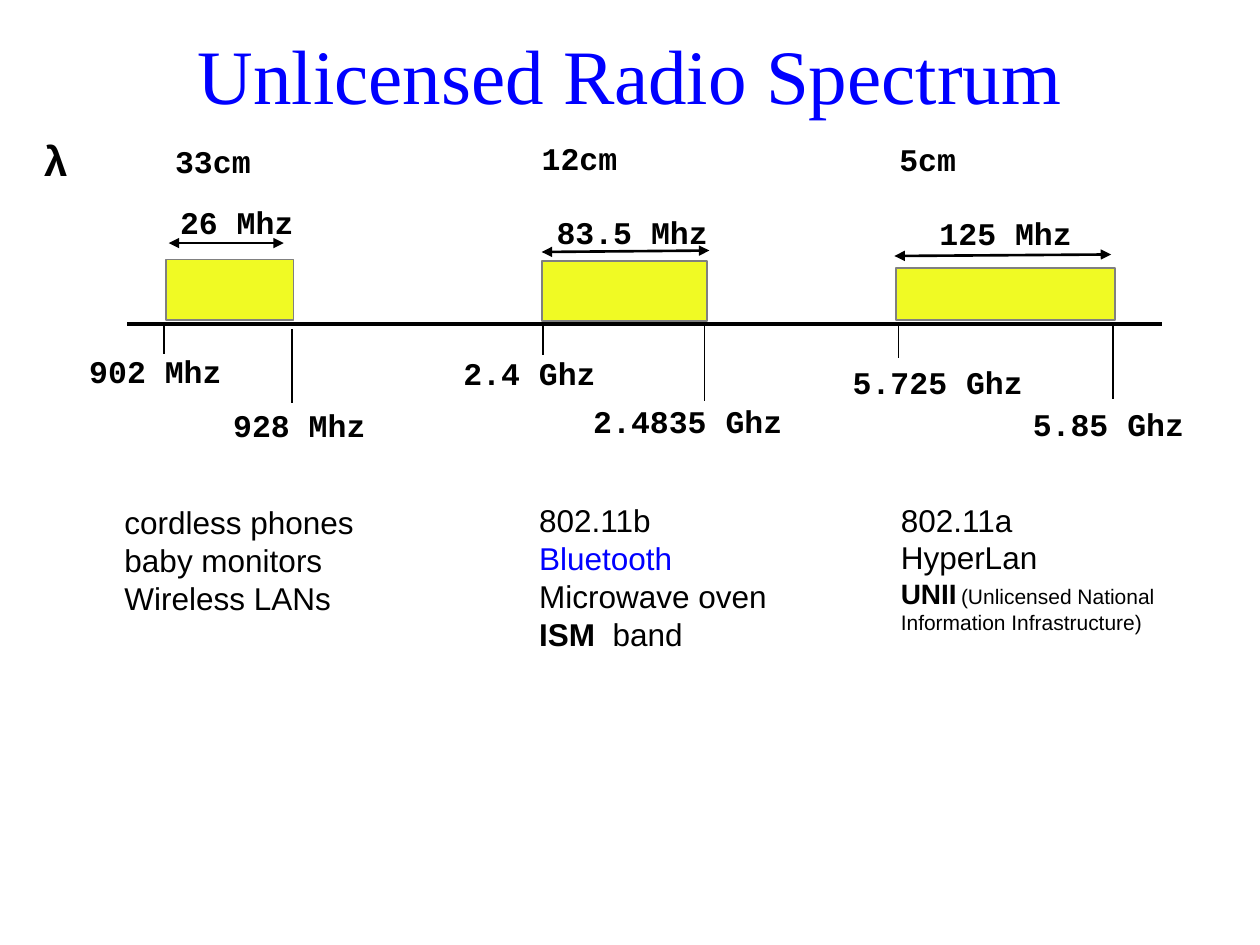
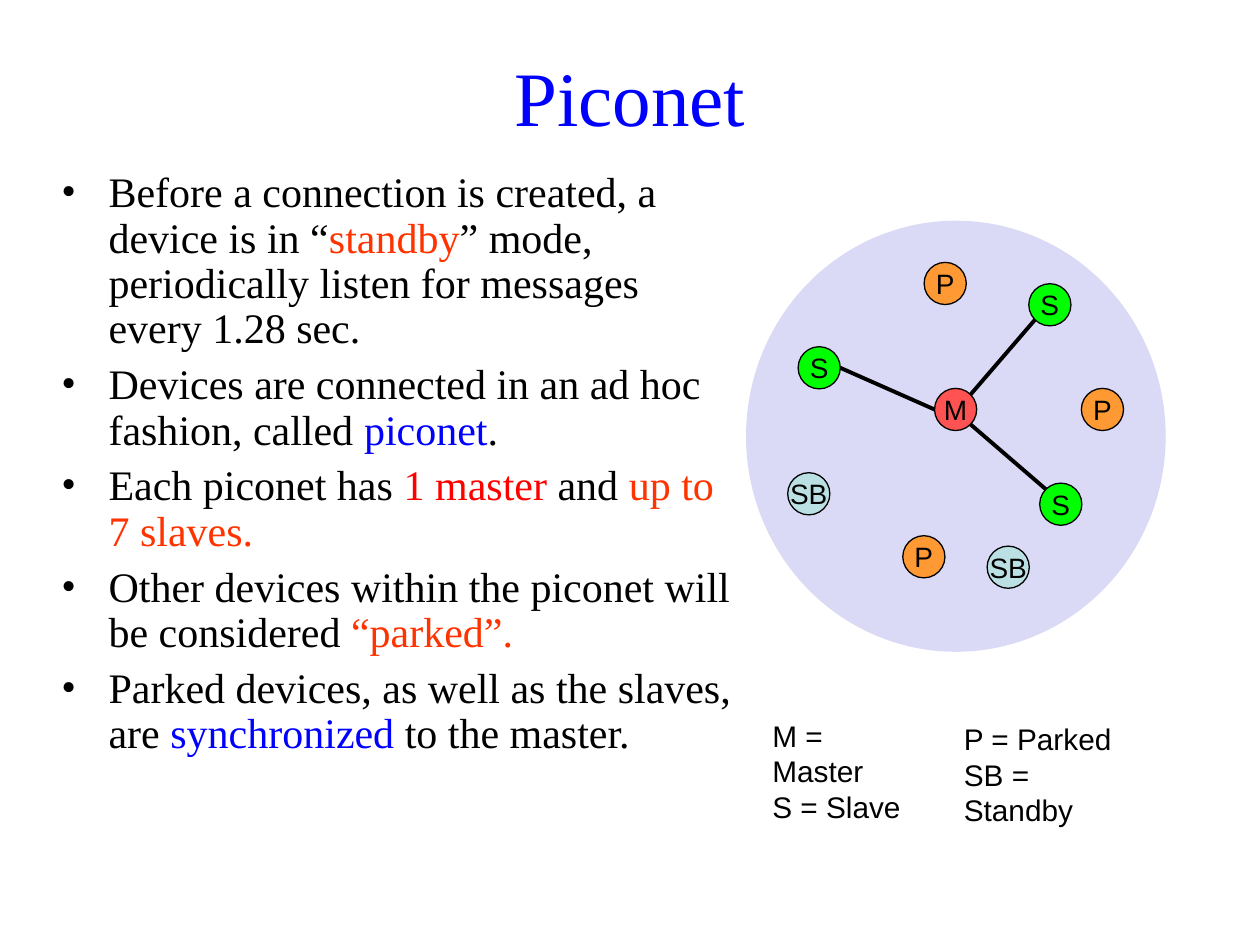
import math
from typing import NamedTuple

from lxml import etree
from pptx import Presentation
from pptx import util as u
from pptx.dml.color import RGBColor
from pptx.enum import shapes, text
from pptx.oxml import ns

HUE = {
    "ink": "000000", "blue": "0000FF", "red": "FF0000", "flame": "FF3300",
    "yellow": "F0FA24", "gray": "808080", "lilac": "DADAF6",
    "M": "FF5353", "S": "00FF00", "P": "FF9933", "SB": "BBE0E3",
}
SERIF, SANS, MONO = "Times New Roman", "Arial", "Courier New"
AXIS = 6.53    # height of the frequency axis, cm
NODE = 0.85    # diameter of a device, cm


class Run(NamedTuple):
    text: str
    hue: str = "ink"
    bold: bool = False
    size: float = 0    # 0 keeps the size of the box


class Label(NamedTuple):
    text: str
    x: float
    y: float


class Line(NamedTuple):
    x1: float
    y1: float
    x2: float
    y2: float


class Box(NamedTuple):
    x: float
    y: float
    w: float
    h: float


class Band(NamedTuple):
    block: Box
    span: Line
    ticks: list[Line]
    labels: list[Label]
    uses: Box
    items: list


class Node(NamedTuple):
    kind: str
    x: float
    y: float


def color(name: str) -> RGBColor:
    return RGBColor.from_string(HUE[name])


# Text
def fill_text(frame, lines: list, *, font=SANS, size=18.0, hue="ink", bold=False,
              align="LEFT", anchor="TOP", wrap=True, inset=0.25,
              bullet="", gap=0.0, pitch=1.0) -> None:
    frame.word_wrap = wrap
    frame.vertical_anchor = text.MSO_ANCHOR[anchor]
    frame.margin_left = frame.margin_right = u.Cm(inset)
    frame.margin_top = frame.margin_bottom = u.Cm(0.13)
    for i, line in enumerate(lines):
        para = frame.paragraphs[0] if i == 0 else frame.add_paragraph()
        if bullet:
            props = para._p.get_or_add_pPr()
            props.set("marL", str(u.Cm(0.95)))
            props.set("indent", str(u.Cm(-0.95)))
            etree.SubElement(props, ns.qn("a:buFont"), typeface=font)
            etree.SubElement(props, ns.qn("a:buChar"), char=bullet)
        para.alignment = text.PP_ALIGN[align]
        para.line_spacing = pitch
        para.space_before = u.Pt(gap if i else 0)
        for part in [Run(line, hue, bold)] if isinstance(line, str) else line:
            run = para.add_run()
            run.text = part.text
            run.font.name = font
            run.font.size = u.Pt(part.size or size)
            run.font.bold = part.bold
            run.font.color.rgb = color(part.hue)


def add_text(slide, box: Box, lines: list, **style) -> None:
    area = slide.shapes.add_textbox(*map(u.Cm, box))
    fill_text(area.text_frame, lines, **style)


def add_title(slide, title: str, y: float, h: float) -> None:
    add_text(slide, Box(1.27, y, 22.86, h), [title], font=SERIF, size=44,
             hue="blue", align="CENTER", anchor="MIDDLE")


def add_label(slide, label: Label) -> None:
    box = Box(label.x, label.y, 0.51 + 0.38 * len(label.text), 1.02)
    add_text(slide, box, [label.text], font=MONO, bold=True, wrap=False)


# Shapes and lines
def add_form(slide, kind: str, box: Box, fill: str, edge="", width=1.0):
    form = slide.shapes.add_shape(shapes.MSO_SHAPE[kind], *map(u.Cm, box))
    form.shadow.inherit = False
    form.fill.solid()
    form.fill.fore_color.rgb = color(fill)
    if edge:
        form.line.color.rgb = color(edge)
        form.line.width = u.Pt(width)
    else:
        form.line.fill.background()
    return form


def add_line(slide, line: Line, width: float, arrows=False) -> None:
    link = slide.shapes.add_connector(shapes.MSO_CONNECTOR.STRAIGHT, *map(u.Cm, line))
    link.line.color.rgb = color("ink")
    link.line.width = u.Pt(width)
    if arrows:
        for end in ("a:headEnd", "a:tailEnd"):
            etree.SubElement(link.line._get_or_add_ln(), ns.qn(end), type="triangle")
    etree.SubElement(link._element.spPr, ns.qn("a:effectLst"))


def add_node(slide, node: Node) -> None:
    form = add_form(slide, "OVAL", Box(node.x, node.y, NODE, NODE), node.kind, "ink", 0.75)
    fill_text(form.text_frame, [node.kind], size=16, align="CENTER",
              anchor="MIDDLE", wrap=False)


def rim(node: Node, angle: float) -> tuple[float, float]:
    """Point on a device's edge, with the angle clockwise from the right."""
    turn, half = math.radians(angle), NODE / 2
    return (node.x + half + half * math.cos(turn),
            node.y + half + half * math.sin(turn))


# Slide 1: bands along the frequency axis
BANDS = [
    Band(Box(3.35, 5.23, 2.57, 1.22), Line(3.4, 4.9, 5.72, 4.9),
         [Line(3.3, 6.5, 3.3, 7.14), Line(5.89, 6.63, 5.89, 8.13)],
         [Label("33cm", 3.28, 2.74), Label("26 Mhz", 3.38, 3.96),
          Label("902 Mhz", 1.55, 6.96), Label("928 Mhz", 4.45, 8.05)],
         Box(2.26, 10.01, 5.13, 2.54),
         ["cordless phones", "baby monitors", "Wireless LANs"]),
    Band(Box(10.92, 5.26, 3.33, 1.22), Line(10.92, 5.08, 14.3, 5.05),
         [Line(10.95, 6.55, 10.95, 7.16), Line(14.2, 6.58, 14.2, 8.08)],
         [Label("12cm", 10.67, 2.67), Label("83.5 Mhz", 10.97, 4.17),
          Label("2.4 Ghz", 9.09, 7.01), Label("2.4835 Ghz", 11.71, 7.98)],
         Box(10.62, 9.98, 5.11, 3.3),
         ["802.11b", [Run("Bluetooth", "blue")], "Microwave oven",
          [Run("ISM  ", bold=True), Run("band")]]),
    Band(Box(18.06, 5.41, 4.42, 1.04), Line(18.03, 5.16, 22.4, 5.13),
         [Line(18.11, 6.58, 18.11, 7.21), Line(22.43, 6.55, 22.43, 8.05)],
         [Label("5cm", 17.88, 2.69), Label("125 Mhz", 18.69, 4.19),
          Label("5.725 Ghz", 16.94, 7.19), Label("5.85 Ghz", 20.57, 8.03)],
         Box(17.91, 9.96, 5.99, 2.97),
         ["802.11a", "HyperLan",
          [Run("UNII", bold=True, size=16), Run(" ", size=9),
           Run("(Unlicensed National Information Infrastructure)", size=12)]]),
]


def draw_bands(slide) -> None:
    add_title(slide, "Unlicensed Radio Spectrum", 0.43, 2.11)
    add_text(slide, Box(0.64, 2.59, 0.97, 1.27), ["λ"], size=24, bold=True, wrap=False)
    add_line(slide, Line(2.57, AXIS, 23.42, AXIS), 2.25)
    for band in BANDS:
        add_form(slide, "RECTANGLE", band.block, "yellow", "gray")
        add_line(slide, band.span, 1.5, arrows=True)
        for tick in band.ticks:
            add_line(slide, tick, 1)
        for label in band.labels:
            add_label(slide, label)
        add_text(slide, band.uses, band.items)


# Slide 2: rules of a piconet beside its devices
POINTS = [
    [Run("Before a connection is created, a device is in “"), Run("standby", "flame"),
     Run("” mode, periodically listen for messages every 1.28 sec.")],
    [Run("Devices are connected in an ad hoc fashion, called "),
     Run("piconet", "blue"), Run(".")],
    [Run("Each piconet has "), Run("1 master", "red"), Run(" and "),
     Run("up to 7 slaves.", "flame")],
    [Run("Other devices within the piconet will be considered"),
     Run(" “parked”.", "flame")],
    [Run("Parked devices, as well as the slaves, are "),
     Run("synchronized ", "blue"), Run("to the master.")],
]
HUB = Node("M", 18.84, 7.83)
# Each slave, with the angle at which its link leaves the master
SLAVES = [(Node("S", 16.09, 6.99), 180), (Node("S", 20.74, 5.72), -45),
          (Node("S", 20.96, 9.74), 45)]
OTHERS = [Node("P", 18.2, 10.8), Node("P", 18.63, 5.29), Node("P", 21.8, 7.83),
          Node("SB", 15.88, 9.53), Node("SB", 19.9, 11.01)]
LEGEND = [(Box(15.29, 14.33, 3.58, 1.73), ["M = Master", "S = Slave"]),
          (Box(19.15, 14.4, 4.24, 1.73), ["P = Parked", "SB = Standby"])]


def draw_net(slide) -> None:
    add_form(slide, "OVAL", Box(15.04, 4.45, 8.46, 8.69), "lilac")
    add_title(slide, "Piconet", 0.76, 2.34)
    add_text(slide, Box(0.99, 3.33, 14.02, 14.2), POINTS, font=SERIF, size=24,
             bullet="•", gap=6, pitch=0.9)
    for box, lines in LEGEND:
        add_text(slide, box, lines, size=17, wrap=False, inset=0.28)
    for node in [HUB, *OTHERS]:
        add_node(slide, node)
    for slave, angle in SLAVES:
        add_node(slide, slave)
        add_line(slide, Line(*rim(HUB, angle), *rim(slave, angle + 180)), 2.25)


def main() -> None:
    deck = Presentation()
    deck.slide_width, deck.slide_height = u.Cm(25.4), u.Cm(19.05)
    for draw in (draw_bands, draw_net):
        draw(deck.slides.add_slide(deck.slide_layouts[6]))
    deck.save("out.pptx")


if __name__ == "__main__":
    main()
